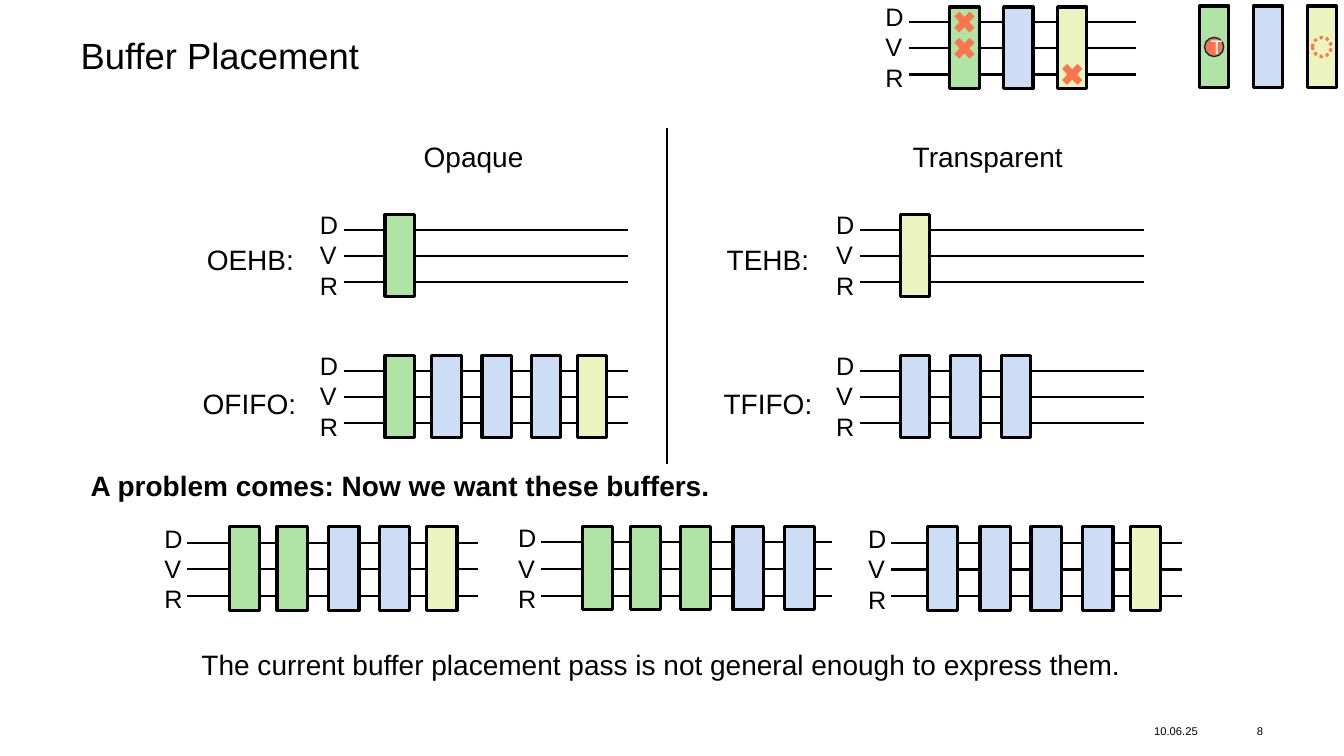
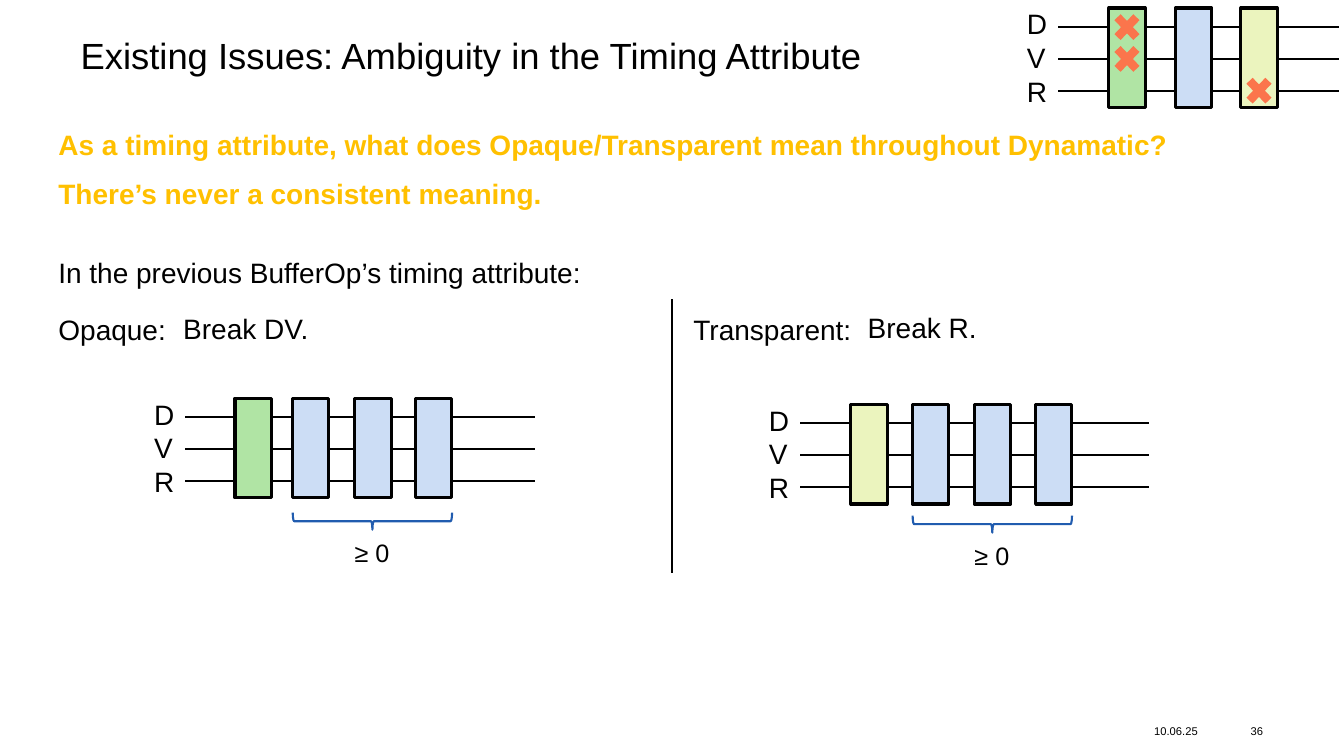
from lxml.etree import SubElement
from pptx import Presentation
from pptx.dml.color import RGBColor
from pptx.enum.dml import MSO_LINE
from pptx.enum.shapes import MSO_CONNECTOR, MSO_SHAPE
from pptx.enum.text import MSO_ANCHOR, PP_ALIGN
from pptx.oxml.ns import qn
from pptx.util import Pt

BLACK = RGBColor(0x00, 0x00, 0x00)
WHITE = RGBColor(0xFF, 0xFF, 0xFF)
GREEN = RGBColor(0xB0, 0xE4, 0xA4)
BLUE = RGBColor(0xCC, 0xDD, 0xF5)
YELLOW = RGBColor(0xEB, 0xF4, 0xBE)
ORANGE = RGBColor(0xFB, 0x75, 0x4C)
NAVY = RGBColor(0x0E, 0x28, 0x4D)
BRACE_BLUE = RGBColor(0x21, 0x5C, 0xAF)
AMBER = RGBColor(0xFF, 0xC0, 0x00)

FONT = "Arial"
DATE = "10.06.25"
SIGNALS = ["D", "V", "R"]

# Buffer kinds: fill and the wires (by index) that the buffer breaks
KINDS = {"G": (GREEN, [0, 1]), "B": (BLUE, []), "Y": (YELLOW, [2])}

# Diagram scales; rise is the part of a buffer above the first wire
SMALL = {"pitch": 18.7, "width": 21, "height": 58.4, "rise": 10.8,
         "font": 18, "label": (-24, -18.2, 36)}
MEDIUM = {"pitch": 19, "width": 21.6, "height": 59.8, "rise": 11.5,
          "font": 18, "label": (-23.5, -17.5, 36)}
LARGE = {"pitch": 22.7, "width": 26, "height": 71.3, "rise": 13.7,
         "font": 20, "label": (-29.5, -18, 44)}

# Text styles
BODY = {"size": 20, "spacing": Pt(30)}
CENTERED = {**BODY, "align": PP_ALIGN.CENTER}
BOLD = {**BODY, "bold": True}
CLAIM = {"size": 20, "bold": True, "color": AMBER}
COUNT = {"size": 18}
TITLE = {"size": 26, "spacing": 0.9, "inset": 0}
FOOTER = {"size": 8, "inset": 0, "anchor": MSO_ANCHOR.MIDDLE}

HEADER_OFFSETS = [29, 67.5, 106]

# texts: text, left, top, width, style
# channels: left, first wire, scale, wire length, kinds, offsets, breaks marked
SLIDES = [
    {
        "title": "Buffer Placement",
        "number": "8",
        "texts": [
            ("Opaque", 293, 90, 90.7, CENTERED),
            ("Transparent", 633.6, 90, 144, CENTERED),
            ("OEHB:", 140.4, 163.4, 77, CENTERED),
            ("OFIFO:", 137.5, 266.4, 81.4, CENTERED),
            ("TEHB:", 512, 163.4, 74.2, BODY),
            ("TFIFO:", 509.8, 266.4, 78.5, BODY),
            ("A problem comes: Now we want these buffers.", 57.6, 325.4, 460, BOLD),
            ("The current buffer placement pass is not general enough to express them.",
             136.8, 452.9, 675.4, BODY),
        ],
        "channels": [
            (649.4, 15.8, SMALL, 162, "GBY", HEADER_OFFSETS, True),
            (245.5, 164.2, SMALL, 203, "G", [29.5], False),
            (245.5, 265, SMALL, 203, "GBBBY", [29.5, 63, 98.8, 134, 167], False),
            (614.2, 164.2, SMALL, 203, "Y", [29], False),
            (614.2, 265, SMALL, 203, "BBB", [29, 65, 101], False),
            (133.9, 387.6, MEDIUM, 207.7, "GGBBY", [30, 64, 101, 137, 171], False),
            (386.6, 387.4, MEDIUM, 207.7, "GGGBB", [29.5, 63.5, 99.5, 137, 173.5], False),
            (636.5, 387.8, MEDIUM, 207.7, "BBBBY", [26, 63.5, 100, 137, 171], False),
        ],
        "divider": (476.6, 91.4, 331.2),
        "braces": [],
        "tokens": True,
    },
    {
        "title": "Existing Issues: Ambiguity in the Timing Attribute",
        "number": "36",
        "texts": [
            ("As a timing attribute, what does Opaque/Transparent mean throughout Dynamatic?",
             34.6, 87.8, 816.5, CLAIM),
            ("There’s never a consistent meaning.", 34.6, 122.4, 362.9, CLAIM),
            ("In the previous BufferOp’s timing attribute:", 34.6, 172.8, 390, BODY),
            ("Opaque:", 34.6, 213.8, 92.2, BODY),
            ("Break DV.", 123.8, 213.1, 104.4, BODY),
            ("Transparent:", 488.2, 213.8, 128.2, BODY),
            ("Break R.", 612.7, 212.4, 92.9, BODY),
            ("≥ 0", 246.2, 380.2, 39.6, COUNT),
            ("≥ 0", 689, 382.3, 39.6, COUNT),
        ],
        "channels": [
            (132.5, 298.1, LARGE, 249.3, "GBBB", [35.3, 76.3, 121, 164], False),
            (571.7, 302.4, LARGE, 249.3, "YBBB", [36, 80, 124.3, 168], False),
            (756, 19.4, LARGE, 200.2, "GBY", [36, 83.5, 130.3], True),
        ],
        "divider": (480.2, 213.8, 409),
        "braces": [(259.9, 315.4), (702.7, 317.5)],
        "tokens": False,
    },
]


def write(frame, lines, style):
    frame.vertical_anchor = style.get("anchor", MSO_ANCHOR.TOP)
    if "inset" in style:
        for side in ("left", "right", "top", "bottom"):
            setattr(frame, f"margin_{side}", Pt(style["inset"]))
    for index, line in enumerate(lines):
        paragraph = frame.add_paragraph() if index else frame.paragraphs[0]
        paragraph.alignment = style.get("align", PP_ALIGN.LEFT)
        if "spacing" in style:
            paragraph.line_spacing = style["spacing"]
        run = paragraph.add_run()
        run.text = line
        font_values = {"name": FONT, "size": Pt(style["size"]),
                       "bold": style.get("bold", False)}
        for name, value in font_values.items():
            setattr(run.font, name, value)
        run.font.color.rgb = style.get("color", BLACK)


def add_text(slide, lines, left, top, width, height, style, wrap=False):
    box = slide.shapes.add_textbox(Pt(left), Pt(top), Pt(width), Pt(height))
    box.text_frame.word_wrap = wrap
    write(box.text_frame, lines, style)


def add_line(slide, x1, y1, x2, y2):
    line = slide.shapes.add_connector(
        MSO_CONNECTOR.STRAIGHT, Pt(x1), Pt(y1), Pt(x2), Pt(y2))
    line.line.color.rgb = BLACK
    line.line.width = Pt(1.5)
    SubElement(line.element.spPr, qn("a:effectLst"))


def add_shape(slide, preset, left, top, width, height, fill=None, line=None, weight=2.25):
    shape = slide.shapes.add_shape(preset, Pt(left), Pt(top), Pt(width), Pt(height))
    shape.shadow.inherit = False
    if fill is None:
        shape.fill.background()
    else:
        shape.fill.solid()
        shape.fill.fore_color.rgb = fill
    if line is None:
        shape.line.fill.background()
    else:
        shape.line.color.rgb = line
        shape.line.width = Pt(weight)
    return shape


def draw_buffers(slide, left, wire, scale, kinds, offsets, marked=False):
    width, height = scale["width"], scale["height"]
    cross = width * 1.05
    for kind, offset in zip(kinds, offsets):
        fill, broken = KINDS[kind]
        x = left + offset
        add_shape(slide, MSO_SHAPE.RECTANGLE, x, wire - scale["rise"],
                  width, height, fill, BLACK)
        for index in broken if marked else []:
            center = wire + index * scale["pitch"]
            add_shape(slide, MSO_SHAPE.MATH_MULTIPLY, x, center - cross / 2,
                      width, cross, ORANGE)


def draw_channel(slide, left, wire, scale, length, kinds, offsets, marked):
    for index in range(len(SIGNALS)):
        y = wire + index * scale["pitch"]
        add_line(slide, left, y, left + length, y)
    dx, dy, width = scale["label"]
    add_text(slide, SIGNALS, left + dx, wire + dy, width, 4 * scale["font"],
             {"size": scale["font"]}, wrap=True)
    draw_buffers(slide, left, wire, scale, kinds, offsets, marked)


def draw_tokens(slide):
    draw_buffers(slide, 827.8, 15.1, SMALL, "GBY", HEADER_OFFSETS)
    token = add_shape(slide, MSO_SHAPE.OVAL, 860.4, 26.7, 13.7, 13.7, ORANGE, NAVY, 1)
    write(token.text_frame, ["T"], {"size": 14, "color": WHITE, "align": PP_ALIGN.CENTER,
                                    "anchor": MSO_ANCHOR.MIDDLE})
    slot = add_shape(slide, MSO_SHAPE.OVAL, 937.4, 26.7, 13.7, 13.7, line=ORANGE)
    slot.line.dash_style = MSO_LINE.ROUND_DOT


def build_slide(presentation, content):
    slide = presentation.slides.add_slide(presentation.slide_layouts[6])
    # Title and footer
    add_text(slide, [content["title"]], 57.6, 27.4, 844.6, 27.4, TITLE, wrap=True)
    add_text(slide, [DATE], 824.4, 513.4, 48.2, 17.3, FOOTER, wrap=True)
    add_text(slide, [content["number"]], 877, 513.4, 25.2, 17.3,
             {**FOOTER, "align": PP_ALIGN.RIGHT}, wrap=True)
    # Diagrams
    for channel in content["channels"]:
        draw_channel(slide, *channel)
    if content["tokens"]:
        draw_tokens(slide)
    for left, top in content["braces"]:
        brace = add_shape(slide, MSO_SHAPE.LEFT_BRACE, left, top, 12.2, 113.8,
                          line=BRACE_BLUE, weight=1.5)
        brace.rotation = 270
    x, top, bottom = content["divider"]
    add_line(slide, x, top, x, bottom)
    # Texts
    for text, left, top, width, style in content["texts"]:
        add_text(slide, [text], left, top, width, 34.6, style)


def main():
    presentation = Presentation()
    presentation.slide_width, presentation.slide_height = Pt(960), Pt(540)
    for content in SLIDES:
        build_slide(presentation, content)
    presentation.save("out.pptx")


if __name__ == "__main__":
    main()
